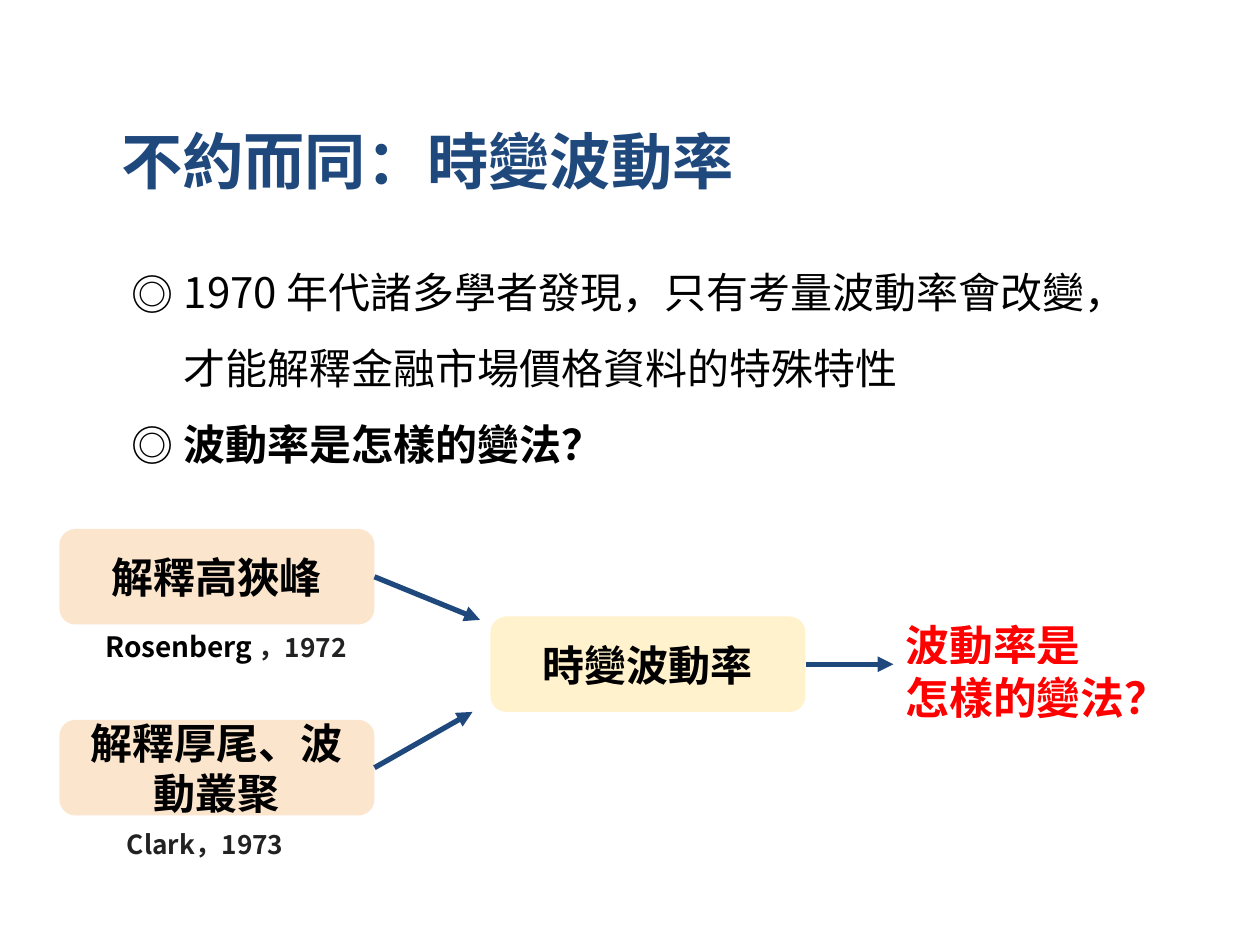
from lxml.etree import SubElement
from pptx import Presentation
from pptx.dml.color import RGBColor
from pptx.enum.shapes import MSO_CONNECTOR, MSO_SHAPE
from pptx.enum.text import MSO_ANCHOR as Anchor, MSO_AUTO_SIZE, PP_ALIGN as Align
from pptx.oxml.ns import qn
from pptx.util import Pt

NAVY = RGBColor(0x1F, 0x49, 0x7D)
BLACK = RGBColor(0, 0, 0)
CHARCOAL = RGBColor(0x22, 0x22, 0x22)
RED = RGBColor(0xFF, 0, 0)
WHITE = RGBColor(0xFF, 0xFF, 0xFF)
PEACH = RGBColor(0xFC, 0xE5, 0xCD)
CREAM = RGBColor(0xFF, 0xF2, 0xCC)

FONT = "Noto Sans CJK TC"
INSET = Pt(7.2)
BOX_W, BOX_H = 180, 54.6


def add_text(paragraph, text, size=24, color=BLACK, bold=True, highlight=None):
    run = paragraph.add_run()
    run.text = text
    font = run.font
    font.size, font.bold = Pt(size), bold
    font.color.rgb = color
    props = font._element
    if highlight is not None:
        SubElement(SubElement(props, qn("a:highlight")), qn("a:srgbClr"), val=str(highlight))
    for script in ("a:latin", "a:ea"):
        SubElement(props, qn(script), typeface=FONT)


def add_bullet(paragraph, symbol, indent=36, hanging=30.2):
    props = paragraph._p.get_or_add_pPr()
    props.set("marL", str(Pt(indent)))
    props.set("indent", str(-Pt(hanging)))
    SubElement(props, qn("a:buFont"), typeface=FONT)
    SubElement(props, qn("a:buChar"), char=symbol)


class SlideBuilder:
    """Holds the shared style and the slide being filled."""

    def __init__(self, slide):
        self.slide = slide
        self.shapes = slide.shapes

    def frame(self, shape, anchor=Anchor.TOP):
        frame = shape.text_frame
        frame.word_wrap = True
        frame.auto_size = MSO_AUTO_SIZE.NONE
        frame.vertical_anchor = anchor
        frame.margin_left = frame.margin_right = INSET
        frame.margin_top = frame.margin_bottom = INSET
        return frame

    def title(self, text, left, top, width, height):
        title = self.shapes.title
        title.left, title.top = Pt(left), Pt(top)
        title.width, title.height = Pt(width), Pt(height)
        heading = self.frame(title, Anchor.BOTTOM).paragraphs[0]
        heading.alignment = Align.LEFT
        add_text(heading, text, size=35, color=NAVY)

    def text_box(self, paragraphs, left, top, width, height):
        """Each paragraph is a list of (text, format) runs."""
        box = self.shapes.add_textbox(Pt(left), Pt(top), Pt(width), Pt(height))
        frame = self.frame(box)
        for index, runs in enumerate(paragraphs):
            paragraph = frame.add_paragraph() if index else frame.paragraphs[0]
            for text, style in runs:
                add_text(paragraph, text, **style)
        return frame.paragraphs

    def bullets(self, items, left, top, width, height):
        points = self.text_box([[item] for item in items], left, top, width, height)
        for point in points:
            point.line_spacing = 1.5
            add_bullet(point, "◎")
        points[0].space_before = Pt(6)

    def concept(self, text, left, top, fill):
        box = self.shapes.add_shape(
            MSO_SHAPE.ROUNDED_RECTANGLE, Pt(left), Pt(top), Pt(BOX_W), Pt(BOX_H))
        box.shadow.inherit = False
        box.fill.solid()
        box.fill.fore_color.rgb = fill
        box.line.fill.background()
        label = self.frame(box, Anchor.MIDDLE).paragraphs[0]
        label.alignment = Align.CENTER
        add_text(label, text)

    def arrow(self, start, end):
        arrow = self.shapes.add_connector(
            MSO_CONNECTOR.STRAIGHT, *(Pt(value) for value in (*start, *end)))
        arrow.line.color.rgb = NAVY
        arrow.line.width = Pt(3)
        SubElement(arrow.line._get_or_add_ln(), qn("a:tailEnd"), type="triangle")
        SubElement(arrow._element.spPr, qn("a:effectLst"))


def main():
    deck = Presentation()
    deck.slide_width, deck.slide_height = Pt(720), Pt(540)
    builder = SlideBuilder(deck.slides.add_slide(deck.slide_layouts[5]))

    builder.title("不約而同：時變波動率", 62, 46, 596, 73.5)
    builder.bullets([
        ("1970 年代諸多學者發現，只有考量波動率會改變，才能解釋金融市場價格資料的特殊特性",
         {"bold": False}),
        ("波動率是怎樣的變法？", {}),
    ], 62, 131, 596, 138)

    cause_left, result_left, result_top = 34, 280.3, 352.3
    causes = [
        ("解釋高狹峰", 302.3, (274.3, 354.2)),
        ("解釋厚尾、波動叢聚", 411.4, (270, 406.8)),
    ]
    for text, top, target in causes:
        builder.concept(text, cause_left, top, PEACH)
        builder.arrow((cause_left + BOX_W, top + BOX_H / 2), target)

    builder.concept("時變波動率", result_left, result_top, CREAM)
    result_middle = result_top + BOX_H / 2
    builder.arrow((result_left + BOX_W, result_middle), (510.5, result_middle))

    year = {"size": 15, "color": CHARCOAL, "highlight": WHITE}
    builder.text_box([[("Rosenberg ", {"size": 16}), ("，1972", year)]], 53.3, 352.3, 154, 39.6)
    builder.text_box([[("Clark，1973", year)]], 65.5, 466, 126.7, 39.6)

    question = {"size": 25, "color": RED, "highlight": WHITE}
    builder.text_box([[("波動率是", question)], [("怎樣的變法？", question)]],
                     510.5, 346.3, 173.5, 80)

    deck.save("out.pptx")


if __name__ == "__main__":
    main()
